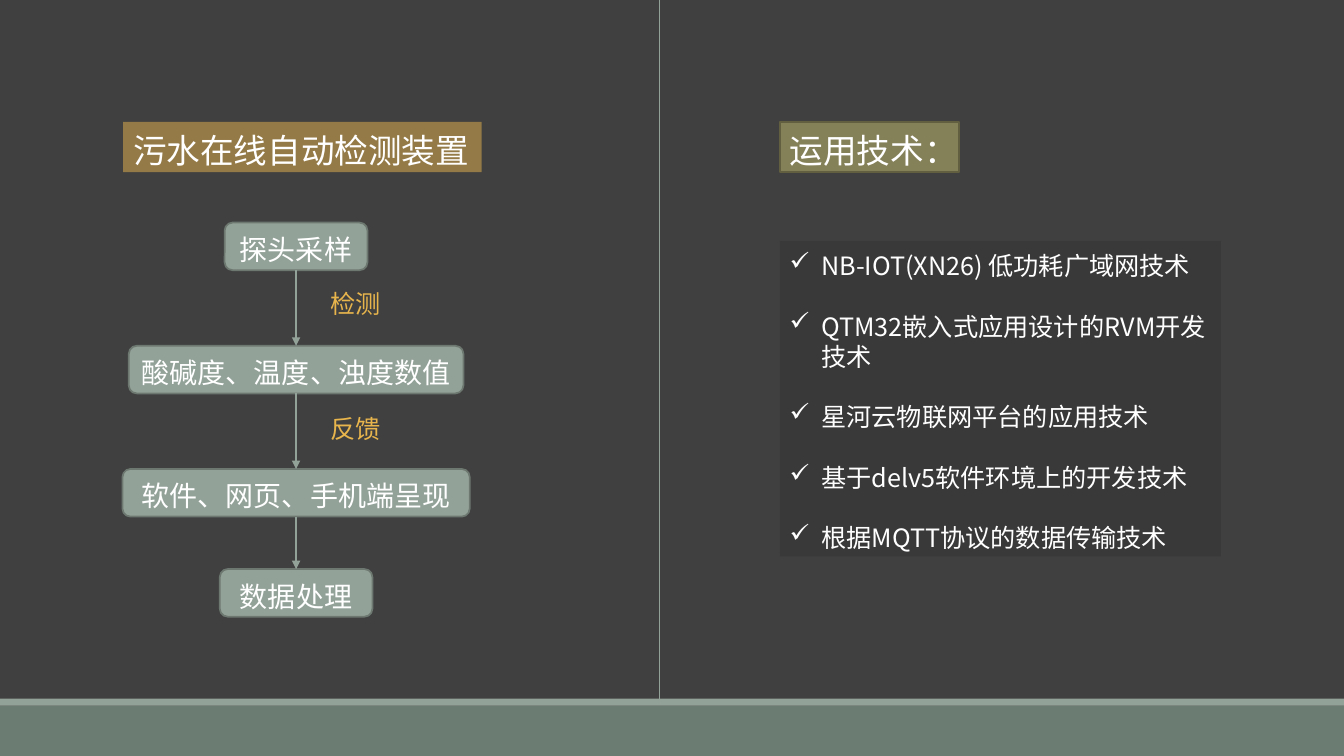
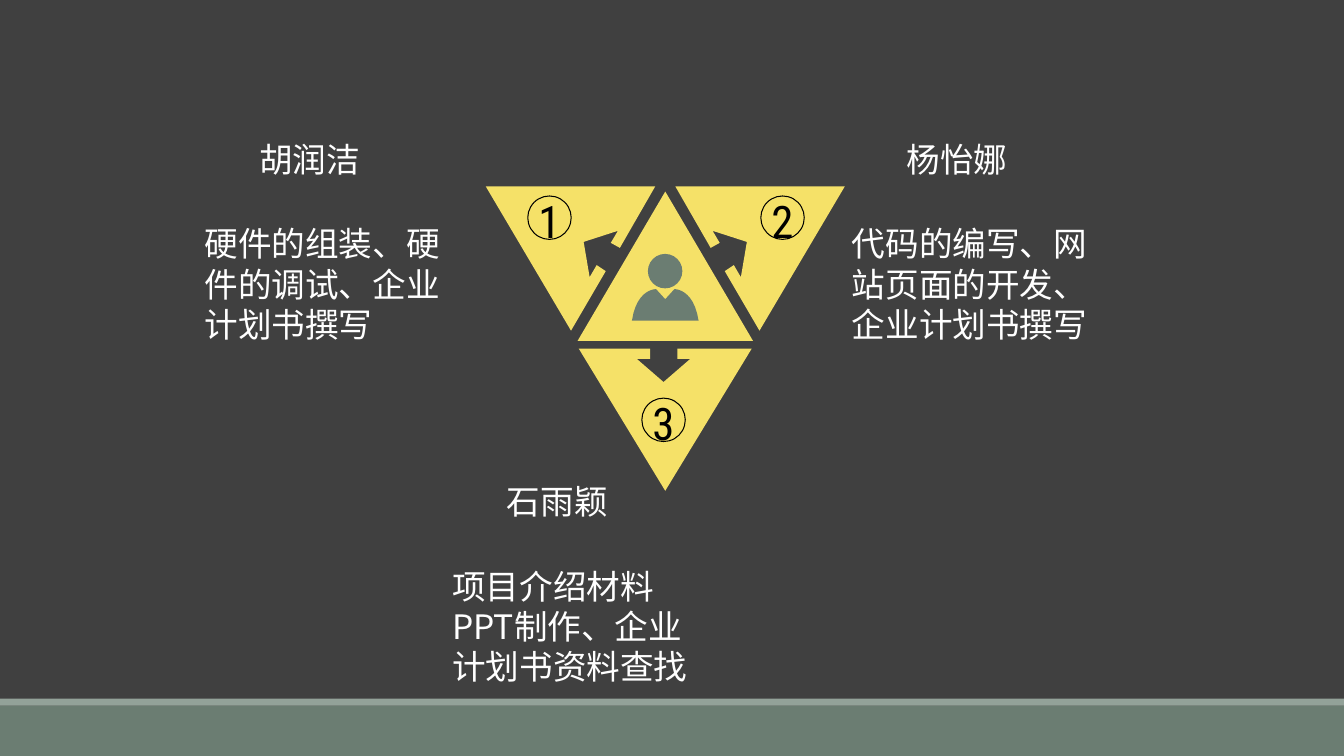
from lxml.etree import SubElement
from pptx import Presentation
from pptx.dml.color import RGBColor
from pptx.enum.shapes import MSO_CONNECTOR as Link, MSO_SHAPE as Preset
from pptx.enum.text import MSO_ANCHOR as Anchor, PP_ALIGN as Align
from pptx.oxml.ns import qn
from pptx.util import Pt

COLORS = {
    "page": "404040",
    "band": "6B7D72",
    "sage": "93A299",
    "sage_edge": "6D7871",
    "gold": "E8B54D",
    "olive": "848058",
    "olive_edge": "625F41",
    "yellow": "F5E168",
    "white": "FFFFFF",
    "black": "000000",
}
COLORS = {role: RGBColor.from_string(code) for role, code in COLORS.items()}
CJK = "Noto Sans CJK SC"
FRAME = {
    "word_wrap": True,
    "vertical_anchor": Anchor.MIDDLE,
    "margin_left": Pt(7.2),
    "margin_right": Pt(7.2),
    "margin_top": Pt(5.7),
    "margin_bottom": Pt(1.5),
}


def paint(shape, fill=None, edge=None, weight=1.25, alpha=100):
    shape.shadow.inherit = False
    if fill:
        shape.fill.solid()
        shape.fill.fore_color.rgb = COLORS[fill]
        if alpha < 100:
            tint = shape._element.spPr.find(".//" + qn("a:srgbClr"))
            SubElement(tint, qn("a:alpha"), val=str(alpha * 1000))
    else:
        shape.fill.background()
    if edge:
        shape.line.color.rgb = COLORS[edge]
        shape.line.width = Pt(weight)
    else:
        shape.line.fill.background()
    return shape


def write(shape, lines, size, color="white", face=CJK, align=Align.LEFT, bullet=None, **frame_changes):
    frame = shape.text_frame
    for key, value in (FRAME | frame_changes).items():
        setattr(frame, key, value)
    for order, line in enumerate(lines):
        paragraph = frame.add_paragraph() if order else frame.paragraphs[0]
        paragraph.alignment = align
        paragraph.line_spacing = Pt(size * 1.2)
        if order:
            paragraph.space_before = Pt(size * 1.2)
        if bullet:
            properties = paragraph._p.get_or_add_pPr()
            properties.set("marL", str(Pt(22.5)))
            properties.set("indent", str(-Pt(22.5)))
            SubElement(properties, qn("a:buChar"), char=bullet)
        run = paragraph.add_run()
        run.text = line
        for key, value in {"size": Pt(size), "name": face}.items():
            setattr(run.font, key, value)
        run.font.color.rgb = COLORS[color]
        SubElement(run._r.get_or_add_rPr(), qn("a:ea"), typeface=face)


deck = Presentation()
deck.slide_width, deck.slide_height = Pt(960), Pt(540)
deck.slide_master.background.fill.solid()
deck.slide_master.background.fill.fore_color.rgb = COLORS["page"]

device_slide, team_slide = [deck.slides.add_slide(deck.slide_layouts[6]) for _ in range(2)]
for slide in deck.slides:
    for top, height, fill in [(504, 36, "band"), (499, 5, "sage")]:
        band = slide.shapes.add_shape(Preset.RECTANGLE, 0, Pt(top), Pt(960), Pt(height))
        paint(band, fill)

device = device_slide.shapes
flow_center = 211.5
steps = []
for label, top, width in [
    ("探头采样", 159, 102),
    ("酸碱度、温度、浊度数值", 247, 239),
    ("软件、网页、手机端呈现", 335, 248),
    ("数据处理", 406.5, 109),
]:
    step = device.add_shape(
        Preset.ROUNDED_RECTANGLE, Pt(flow_center - width / 2), Pt(top), Pt(width), Pt(34)
    )
    paint(step, "sage", "sage_edge")
    write(step, [label], 20, align=Align.CENTER, word_wrap=False)
    steps.append(step)

rules = []
for upper, lower in zip(steps, steps[1:]):
    arrow = device.add_connector(Link.STRAIGHT, 0, 0, 0, 0)
    arrow.begin_connect(upper, 2)
    arrow.end_connect(lower, 0)
    rules.append((arrow, 1.5))
divider = device.add_connector(Link.STRAIGHT, Pt(471), 0, Pt(471), Pt(501))
rules.append((divider, 1))
for rule, weight in rules:
    rule.line.color.rgb = COLORS["sage"]
    rule.line.width = Pt(weight)
    if rule is not divider:
        SubElement(rule.line._get_or_add_ln(), qn("a:tailEnd"), type="triangle")
    SubElement(rule._element.spPr, qn("a:effectLst"))

for action, top in [("检测", 200), ("反馈", 289.5)]:
    write(device.add_textbox(Pt(229), Pt(top), Pt(63), Pt(29)), [action], 18, "gold")

for heading, left, width, look in [
    ("污水在线自动检测装置", 88, 256, {"fill": "gold", "alpha": 50}),
    ("运用技术：", 557, 128, {"fill": "olive", "edge": "olive_edge"}),
]:
    title = device.add_shape(Preset.RECTANGLE, Pt(left), Pt(87), Pt(width), Pt(36))
    paint(title, **look)
    write(title, [heading], 24)

technologies = [
    "NB-IOT(XN26) 低功耗广域网技术",
    "QTM32嵌入式应用设计的RVM开发技术",
    "星河云物联网平台的应用技术",
    "基于delv5软件环境上的开发技术",
    "根据MQTT协议的数据传输技术",
]
panel = device.add_shape(Preset.RECTANGLE, Pt(557), Pt(172), Pt(315), Pt(225.5))
paint(panel, "black", alpha=10)
write(panel, technologies, 18, bullet="✓")

team = team_slide.shapes
axis = 475.2
right_part = [
    (542.5, 236.2), (603.4, 133.2), (482.4, 133.2), (507.6, 177.1), (514.1, 173.5),
    (509, 164.9), (533.5, 172.8), (529.2, 198), (524.2, 189.4), (517.7, 193.7),
]
left_part = [(2 * axis - x, y) for x, y in right_part]
bottom_part = [
    (475.2, 350.6), (537, 249), (483.8, 249), (483.8, 256.3), (493.2, 256.3),
    (474, 272.9), (454.8, 256.3), (464.4, 256.3), (464.4, 249), (413.4, 249),
]
neck, bend, elbow = (468.7, 206.6), (455, 205.9), (451.4, 229)
shoulder = []
for tick in range(13):
    t = tick / 12
    weights = ((1 - t) ** 3 + 3 * (1 - t) ** 2 * t, 3 * (1 - t) * t**2, t**3)
    shoulder.append(
        tuple(sum(w * point[i] for w, point in zip(weights, (neck, bend, elbow))) for i in (0, 1))
    )
torso = [(axis, 213.8)] + shoulder + [(2 * axis - x, y) for x, y in reversed(shoulder)]

core = team.add_shape(Preset.ISOSCELES_TRIANGLE, Pt(412.6), Pt(136.8), Pt(125.2), Pt(106.6))
paint(core, "yellow")
for outline, fill in [
    (bottom_part, "yellow"),
    (right_part, "yellow"),
    (left_part, "yellow"),
    (torso, "band"),
]:
    corners = [(Pt(x), Pt(y)) for x, y in outline]
    builder = team.build_freeform(*corners[0])
    builder.add_line_segments(corners[1:])
    paint(builder.convert_to_shape(), fill)
head = team.add_shape(Preset.OVAL, Pt(axis - 12.4), Pt(181.4), Pt(24.6), Pt(24.6))
paint(head, "band")

for number, left, top in [("1", 377, 140), ("2", 543.5, 140), ("3", 458.5, 284.4)]:
    badge = team.add_shape(Preset.OVAL, Pt(left), Pt(top), Pt(31), Pt(31))
    paint(badge, edge="black", weight=0.75)
    write(badge, [number], 32, "black", "Roboto Condensed", Align.CENTER, word_wrap=False)

for member, duty, left, top in [
    ("胡润洁", "硬件的组装、硬件的调试、企业计划书撰写", 139, 93.5),
    ("杨怡娜", "代码的编写、网站页面的开发、企业计划书撰写", 601.5, 93.5),
    ("石雨颖", "项目介绍材料PPT制作、企业计划书资料查找", 316, 338),
]:
    write(team.add_textbox(Pt(left + 39), Pt(top), Pt(135), Pt(36)), [member], 24)
    write(team.add_textbox(Pt(left), Pt(top + 60), Pt(196), Pt(94)), [duty], 24)

deck.save("out.pptx")
